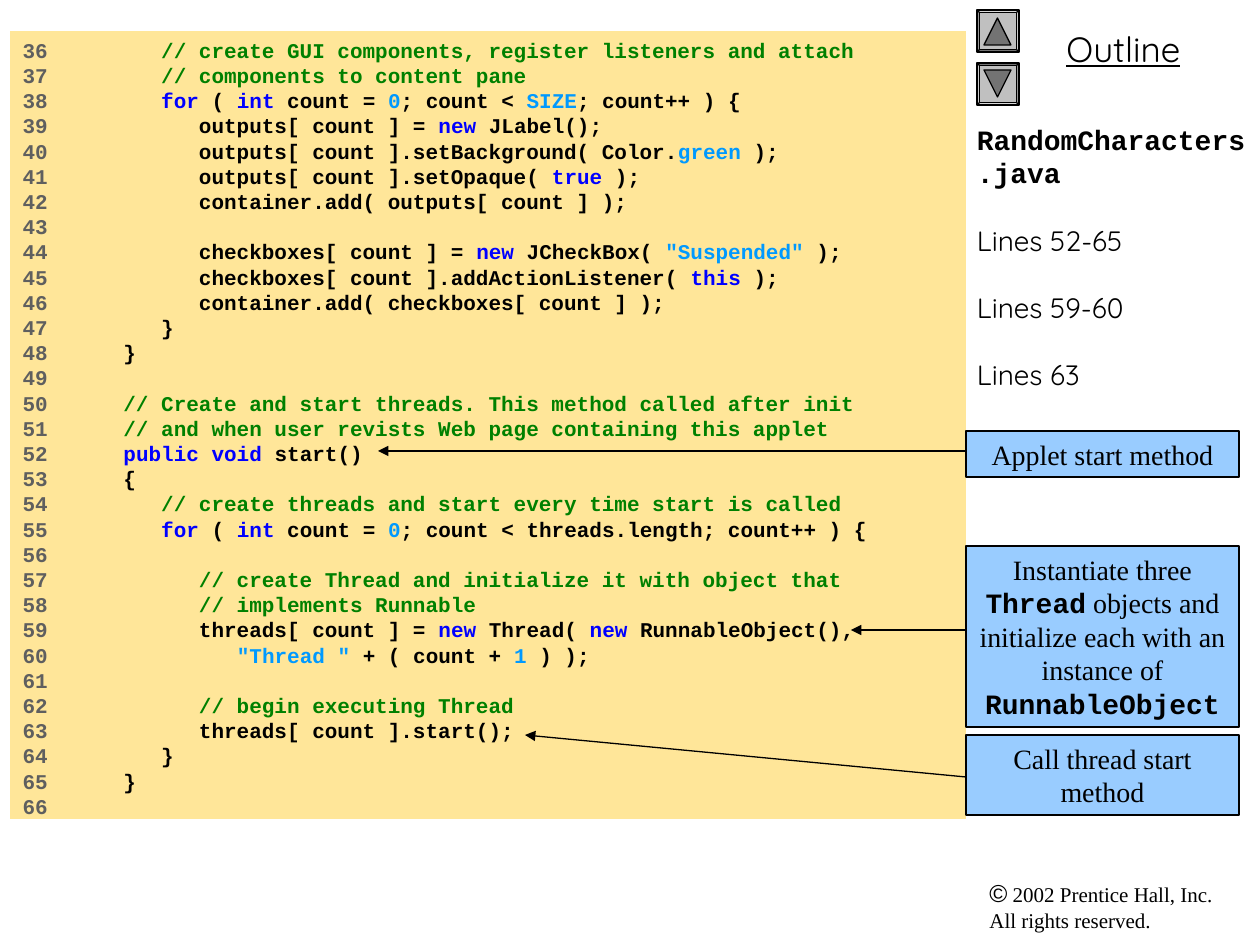
import copy

import pptx
import pptx.dml.color
import pptx.enum.shapes
import pptx.enum.text
import pptx.oxml
import pptx.oxml.ns
import pptx.util

RGBColor = pptx.dml.color.RGBColor
MSO_SHAPE = pptx.enum.shapes.MSO_SHAPE
PP_ALIGN = pptx.enum.text.PP_ALIGN
Pt = pptx.util.Pt

BLACK = RGBColor(0x00, 0x00, 0x00)
NUMBER_GRAY = RGBColor(0x5F, 0x5F, 0x5F)
COMMENT_GREEN = RGBColor(0x00, 0x80, 0x00)
KEYWORD_BLUE = RGBColor(0x00, 0x00, 0xFF)
LITERAL_BLUE = RGBColor(0x00, 0x99, 0xFF)
CODE_FILL = RGBColor(0xFF, 0xE6, 0x99)
CALLOUT_FILL = RGBColor(0x99, 0xCC, 0xFF)
BUTTON_FILL = RGBColor(0xC0, 0xC0, 0xC0)
ARROW_FILL = RGBColor(0x73, 0x73, 0x73)

MONO, SERIF, SANS = "Courier New", "Times New Roman", "Quicksand"
KEYWORDS = {"for", "int", "new", "true", "this", "public void"}
FIRST_LINE = 36

# Backticks enclose keywords and literals.
CODE = [
    '      // create GUI components, register listeners and attach',
    '      // components to content pane',
    '      `for` ( `int` count = `0`; count < `SIZE`; count++ ) {',
    '         outputs[ count ] = `new` JLabel();',
    '         outputs[ count ].setBackground( Color.`green` );',
    '         outputs[ count ].setOpaque( `true` );',
    '         container.add( outputs[ count ] );',
    '',
    '         checkboxes[ count ] = `new` JCheckBox( `"Suspended"` );',
    '         checkboxes[ count ].addActionListener( `this` );',
    '         container.add( checkboxes[ count ] );',
    '      }',
    '   }',
    '',
    '   // Create and start threads. This method called after init',
    '   // and when user revists Web page containing this applet',
    '   `public void` start()',
    '   {',
    '      // create threads and start every time start is called',
    '      `for` ( `int` count = `0`; count < threads.length; count++ ) {',
    '',
    '         // create Thread and initialize it with object that',
    '         // implements Runnable',
    '         threads[ count ] = `new` Thread( `new` RunnableObject(),',
    '            `"Thread "` + ( count + `1` ) );',
    '',
    '         // begin executing Thread',
    '         threads[ count ].start();',
    '      }',
    '   }',
    '',
]


def px(n):
    return round(n * 914400 / 126)


def add_text(p, text, size, font, color=BLACK, bold=False, underline=None):
    """Add one run per line of text, with line breaks of the same size between."""
    for i, line in enumerate(text.split("\n")):
        if i:
            p.add_line_break()
            p._p[-1].append(copy.deepcopy(r._r.rPr))
        r = p.add_run()
        r.text = line
        r.font.size = Pt(size)
        r.font.name = font
        r.font.color.rgb = color
        r.font.bold = bold
        r.font.underline = underline


prs = pptx.Presentation()
prs.slide_width, prs.slide_height = px(1260), px(945)
s = prs.slides.add_slide(prs.slide_layouts[0])
title, code = s.placeholders[0], s.placeholders[1]

# Title and code placeholders
for sp, box, line_height, count in ((title, (977, 116, 283, 756), 19.2, 1),
                                    (code, (10, 31, 956, 788), 14.4, len(CODE))):
    sp.left, sp.top, sp.width, sp.height = map(px, box)
    tf = sp.text_frame
    tf.word_wrap = True
    tf.auto_size = pptx.enum.text.MSO_AUTO_SIZE.NONE
    tf.vertical_anchor = pptx.enum.text.MSO_ANCHOR.TOP
    for i in range(count):
        p = tf.add_paragraph() if i else tf.paragraphs[0]
        p.alignment = PP_ALIGN.LEFT
        p.space_before = Pt(0)
        p.line_spacing = Pt(line_height)

title.text_frame.margin_left = 0
p = title.text_frame.paragraphs[0]
add_text(p, "RandomCharacters.java\n\n", 16, MONO, bold=True)
add_text(p, "Lines 52-65\n\nLines 59-60\n\nLines 63", 16, SANS)

code.fill.solid()
code.fill.fore_color.rgb = CODE_FILL
for i, (p, line) in enumerate(zip(code.text_frame.paragraphs, CODE)):
    number = str(FIRST_LINE + i)
    add_text(p, number + "   " if line else number, 12, MONO, NUMBER_GRAY, True)
    plain = COMMENT_GREEN if line.lstrip().startswith("//") else BLACK
    for j, part in enumerate(line.split("`")):
        color = plain
        if j % 2:
            color = KEYWORD_BLUE if part in KEYWORDS else LITERAL_BLUE
        if part:
            add_text(p, part, 12, MONO, color, True)

# Outline heading and copyright line
sp = s.shapes.add_textbox(px(987), px(21), px(273), px(55))
sp.text_frame.word_wrap = True
p = sp.text_frame.paragraphs[0]
p.alignment = PP_ALIGN.CENTER
add_text(p, "Outline", 20, SANS, underline=True)

sp = s.shapes.add_textbox(px(977), px(872), px(273), px(68))
sp.text_frame.word_wrap = True
p = sp.text_frame.paragraphs[0]
add_text(p, "©", 14, "Arial")
add_text(p, " 2002 Prentice Hall, Inc.\nAll rights reserved.", 12, SERIF)

# Up and down buttons
for top, bevel_turn, arrow_top, arrow_turn in ((10, 90, 18, 0), (63, 270, 70, 180)):
    bevel = s.shapes.add_shape(MSO_SHAPE.BEVEL, px(977), px(top), px(42), px(42))
    bevel.adjustments[0] = 0.06
    bevel.rotation = bevel_turn
    arrow = s.shapes.add_shape(MSO_SHAPE.ISOSCELES_TRIANGLE,
                               px(984), px(arrow_top), px(27), px(27))
    arrow.rotation = arrow_turn
    for sp, color in ((bevel, BUTTON_FILL), (arrow, ARROW_FILL)):
        sp.shadow.inherit = False
        sp.fill.solid()
        sp.fill.fore_color.rgb = color
        sp.line.color.rgb = BLACK
        sp.line.width = Pt(0.75)

# Callouts: top, height, text runs, arrow start y, arrow tip
CALLOUTS = (
    (431, 46, [("Applet start method", SERIF)], 451, (378, 451)),
    (546, 181, [("Instantiate three ", SERIF), ("Thread", MONO),
                (" objects and initialize each with an instance of ", SERIF),
                ("RunnableObject", MONO)], 630, (851, 630)),
    (735, 80, [("Call thread start method", SERIF)], 777, (525, 735)),
)
for top, height, runs, start_y, tip in CALLOUTS:
    sp = s.shapes.add_shape(MSO_SHAPE.RECTANGLE, px(966), px(top), px(273), px(height))
    sp.shadow.inherit = False
    sp.fill.solid()
    sp.fill.fore_color.rgb = CALLOUT_FILL
    tf = sp.text_frame
    tf.word_wrap = True
    tf.vertical_anchor = pptx.enum.text.MSO_ANCHOR.TOP
    p = tf.paragraphs[0]
    p.alignment = PP_ALIGN.CENTER
    for text, font in runs:
        add_text(p, text, 16, font, bold=font == MONO)

    arrow = s.shapes.add_connector(pptx.enum.shapes.MSO_CONNECTOR.STRAIGHT,
                                   px(966), px(start_y), px(tip[0]), px(tip[1]))
    for outlined in (sp, arrow):
        outlined.line.color.rgb = BLACK
        outlined.line.width = Pt(0.75)
    ns = pptx.oxml.ns.nsdecls("a")
    spPr = arrow._element.spPr
    spPr.get_or_add_ln().append(pptx.oxml.parse_xml(f'<a:tailEnd {ns} type="triangle"/>'))
    spPr.append(pptx.oxml.parse_xml(f"<a:effectLst {ns}/>"))

prs.save("out.pptx")
